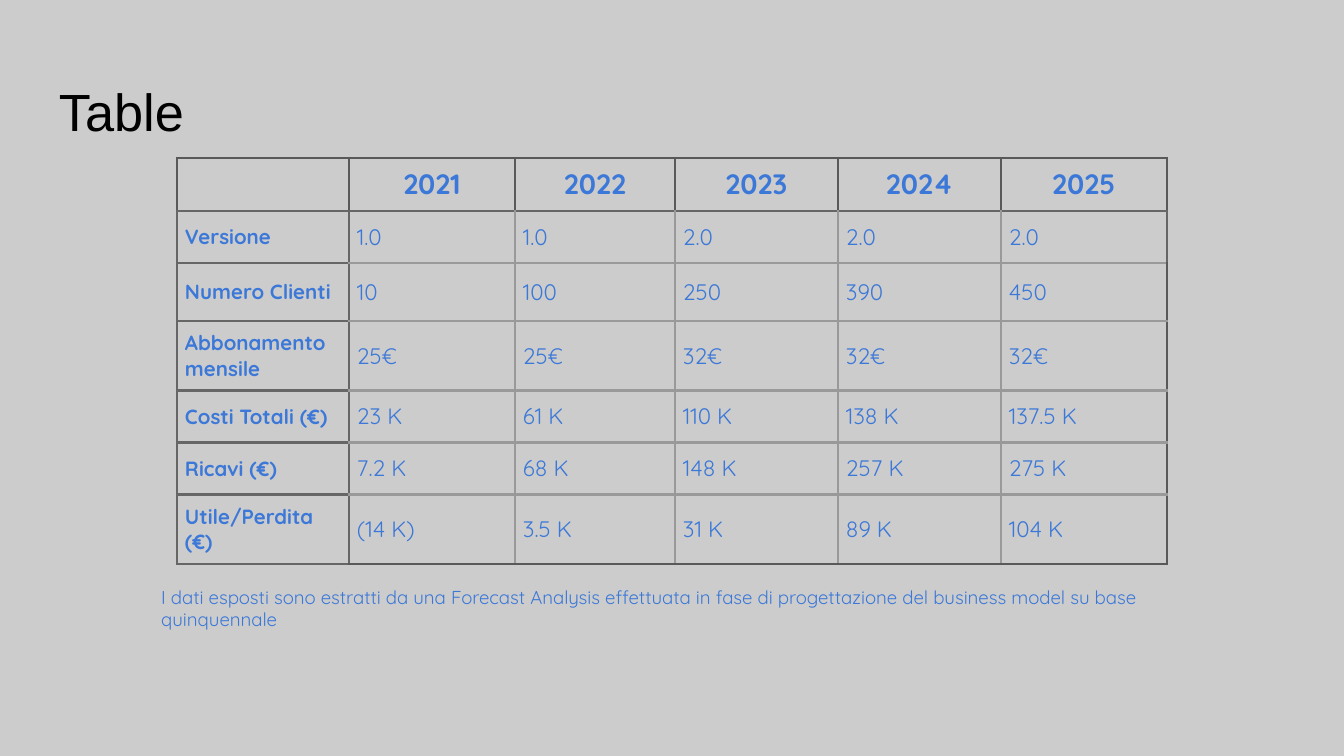
from pptx import Presentation
from pptx.dml.color import RGBColor
from pptx.enum.text import MSO_ANCHOR, MSO_AUTO_SIZE, PP_ALIGN
from pptx.util import Pt
from lxml.etree import SubElement
from pptx.oxml.ns import qn

SCALE = 914400 / 134.4
HUES = {
    "back": "CCCCCC", "ink": "000000", "blue": "3C78D8",
    "dark": "595959", "mid": "666666", "light": "999999",
}
WIDTHS = [172, 166, 160, 163, 163, 166]
HEIGHTS = [51, 52, 58, 66, 52, 52, 52]
ROWS = [
    ["", "2021", "2022", "2023", "2024", "2025"],
    ["Versione", "1.0", "1.0", "2.0", "2.0", "2.0"],
    ["Numero Clienti", "10", "100", "250", "390", "450"],
    ["Abbonamento mensile", "25€", "25€", "32€", "32€", "32€"],
    ["Costi Totali (€)", "23 K", "61 K", "110 K", "138 K", "137.5 K"],
    ["Ricavi (€)", "7.2 K", "68 K", "148 K", "257 K", "275 K"],
    ["Utile/Perdita (€)", "(14 K)", "3.5 K", "31 K", "89 K", "104 K"],
]
NOTE = ("I dati esposti sono estratti da una Forecast Analysis effettuata in fase "
        "di progettazione del business model su base quinquennale")


def px(size):
    """Turn pixels into EMU."""
    return round(size * SCALE)


def tint(name):
    """Look up a colour by name."""
    return RGBColor.from_string(HUES[name])


def style(para, size, hue="blue", face="Quicksand", bold=False, align=PP_ALIGN.LEFT):
    """Set the font and alignment of a paragraph."""
    font = para.font
    font.size, font.name, font.bold = Pt(size), face, bold
    font.color.rgb = tint(hue)
    para.alignment = align


def pad(item, side, top):
    """Set the insets of a cell or text frame."""
    item.margin_left = item.margin_right = px(side)
    item.margin_top = item.margin_bottom = px(top)


def sides(row, col):
    """Name the border colours of a cell: left, right, top, bottom."""
    if row == 0:
        return "dark", "dark", "dark", "mid"
    if col == 0:
        return ("mid",) * 4
    left = "mid" if col == 1 else "light"
    right = "light"
    if col == len(WIDTHS) - 1:
        right = "mid" if row == 1 else "dark"
    top = "mid" if row == 1 else "light"
    low = "dark" if row == len(ROWS) - 1 else "light"
    return left, right, top, low


def border(cell, hues):
    """Draw the four borders of a cell."""
    props = cell._tc.get_or_add_tcPr()
    for side, hue in zip("LRTB", hues):
        line = SubElement(props, qn(f"a:ln{side}"), w=str(Pt(1.5)))
        fill = SubElement(line, qn("a:solidFill"))
        SubElement(fill, qn("a:srgbClr"), val=HUES[hue])


def fill_cell(cell, text, row, col):
    """Write and format one table cell."""
    cell.text = text
    pad(cell, 8, 9)
    para = cell.text_frame.paragraphs[0]
    if row == 0:
        style(para, 15, bold=True, align=PP_ALIGN.CENTER)
    else:
        cell.vertical_anchor = MSO_ANCHOR.MIDDLE
        style(para, 12 if col else 11, bold=col == 0)
    border(cell, sides(row, col))
    cell.fill.background()


def add_grid(slide):
    """Add the forecast table."""
    frame = slide.shapes.add_table(len(ROWS), len(WIDTHS), px(177), px(158),
                                   px(sum(WIDTHS)), px(sum(HEIGHTS)))
    table = frame.table
    table.first_row = table.horz_banding = False
    for col, width in zip(table.columns, WIDTHS):
        col.width = px(width)
    for row, height in zip(table.rows, HEIGHTS):
        row.height = px(height)
    for row, texts in enumerate(ROWS):
        for col, text in enumerate(texts):
            fill_cell(table.cell(row, col), text, row, col)


def set_title(slide, text):
    """Place and format the title."""
    title = slide.shapes.title
    title.left, title.top, title.width, title.height = map(px, (46, 66, 1252, 84))
    frame = title.text_frame
    frame.text = text
    frame.vertical_anchor = MSO_ANCHOR.TOP
    frame.auto_size = MSO_AUTO_SIZE.NONE
    pad(frame, 13, 13)
    style(frame.paragraphs[0], 28, "ink", "Arial")


def add_note(slide, text):
    """Add the note under the table."""
    frame = slide.shapes.add_textbox(*map(px, (148, 579, 1047, 36))).text_frame
    frame.word_wrap = True
    frame.auto_size = MSO_AUTO_SIZE.SHAPE_TO_FIT_TEXT
    frame.text = text
    style(frame.paragraphs[0], 10)


def main():
    """Build the slide and save it."""
    deck = Presentation()
    deck.slide_width, deck.slide_height = px(1344), px(756)
    slide = deck.slides.add_slide(deck.slide_layouts[5])
    back = slide.background.fill
    back.solid()
    back.fore_color.rgb = tint("back")
    set_title(slide, "Table")
    add_grid(slide)
    add_note(slide, NOTE)
    deck.save("out.pptx")


if __name__ == "__main__":
    main()
